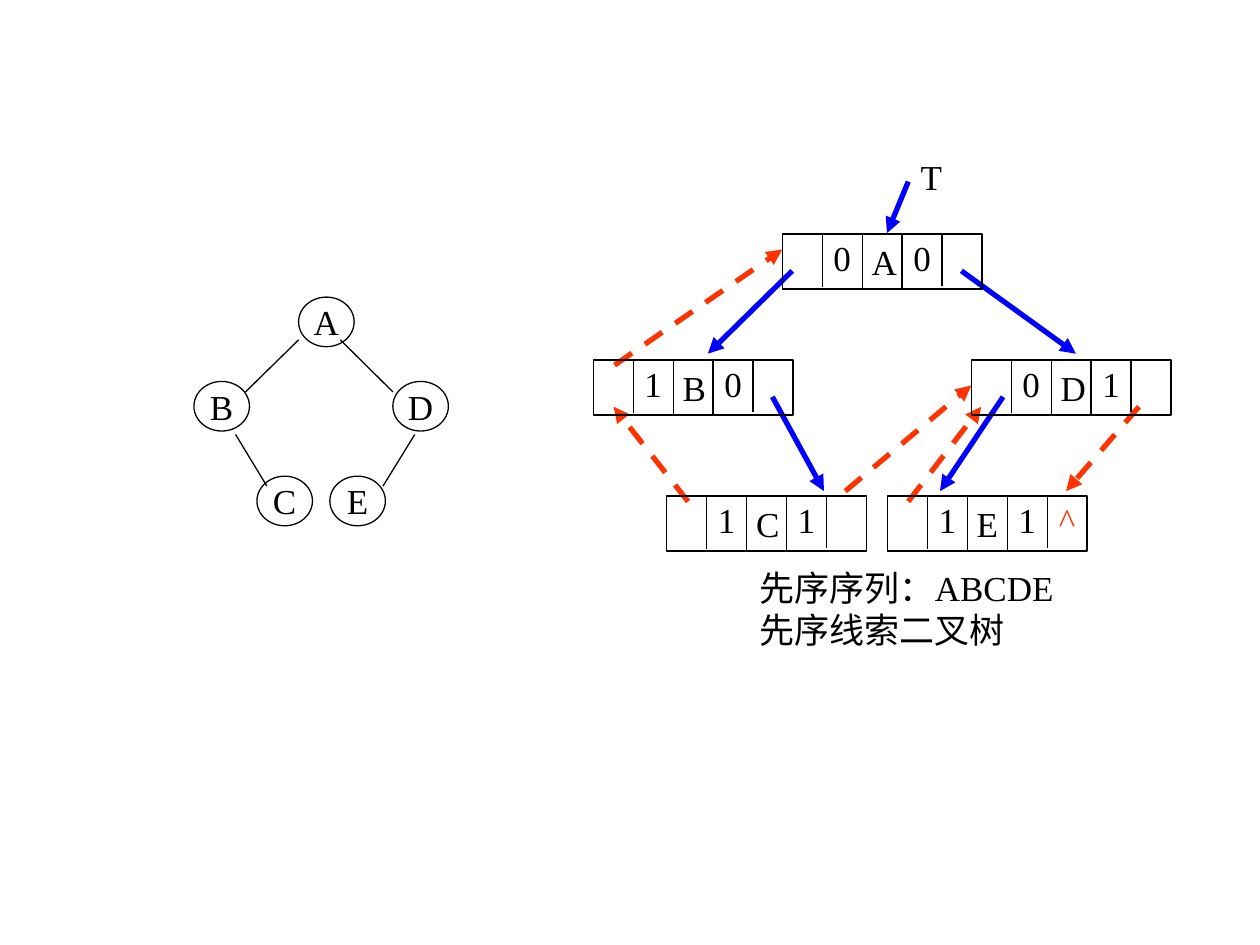
from dataclasses import dataclass

from pptx import Presentation
from pptx.dml.color import RGBColor
from pptx.enum import dml, shapes, text
from pptx.oxml.ns import qn
from pptx.util import Cm, Pt


@dataclass(frozen=True)
class Theme:
    font: str = "Times New Roman"
    size: int = 20
    ink: str = "000000"
    child: str = "0000FF"
    thread: str = "FF3300"
    thin: float = 0.75
    thick: float = 3


T = Theme()
LEFT, CENTER = text.PP_ALIGN.LEFT, text.PP_ALIGN.CENTER
TOP, MIDDLE = text.MSO_ANCHOR.TOP, text.MSO_ANCHOR.MIDDLE
CELL_W, RECORD_H = 0.805, 1.11
TAG_W, TAG_H, TAG_RISE = 0.86, 1.12, 0.09
LETTER_INSET = 1.8
DIVIDER_H = (1.07, 1.12, 1.12, 1.05)

NODES = {"A": (2.11, 0), "B": (0, 1.7), "C": (1.27, 3.61),
         "D": (4.01, 1.7), "E": (2.74, 3.61)}
EDGES = [(2.11, 0.86, 1.04, 1.91), (2.95, 0.86, 4.01, 1.91),
         (0.84, 2.77, 1.47, 3.81), (4.45, 2.77, 3.81, 3.81)]

# Letter, left, top, and the tags by cell number
RECORDS = [("A", 3.81, 1.7, {1: "0", 3: "0"}),
           ("B", 0, 4.24, {1: "1", 3: "0"}),
           ("D", 7.62, 4.24, {1: "0", 3: "1"}),
           ("C", 1.48, 6.98, {1: "1", 3: "1"}),
           ("E", 5.93, 6.98, {1: "1", 3: "1", 4: "^"})]
CHILD_LINKS = [(4.01, 2.44, 2.31, 4.11), (7.42, 2.44, 9.73, 4.11),
               (3.61, 4.98, 4.65, 6.88), (8.26, 4.98, 6.99, 6.88),
               (6.35, 0.64, 5.92, 1.68)]
THREADS = [(0.43, 4.34, 3.81, 2.01), (1.91, 7.09, 0.41, 5.18),
           (5.08, 6.88, 7.62, 4.75), (11, 5.18, 9.53, 6.88),
           (6.35, 7.09, 7.82, 5.18)]


def write(sp, lines, align=LEFT, color=T.ink, **frame):
    tf = sp.text_frame
    for name, value in {"word_wrap": False, "vertical_anchor": MIDDLE, **frame}.items():
        setattr(tf, name, value)
    for i, line in enumerate(lines):
        p = tf.paragraphs[0] if i == 0 else tf.add_paragraph()
        p.alignment = align
        r = p.add_run()
        r.text = line
        for name, value in {"name": T.font, "size": Pt(T.size)}.items():
            setattr(r.font, name, value)
        r.font.color.rgb = RGBColor.from_string(color)


def add_outline(s, kind, x, y, w, h):
    """Add an unfilled preset shape with a thin outline."""
    sp = s.shapes.add_shape(kind, Cm(x), Cm(y), Cm(w), Cm(h))
    sp.shadow.inherit = False
    sp.fill.background()
    sp.line.color.rgb = RGBColor.from_string(T.ink)
    sp.line.width = Pt(T.thin)
    return sp


def add_label(s, x, y, w, h, lines, **style):
    write(s.shapes.add_textbox(Cm(x), Cm(y), Cm(w), Cm(h)), lines, **style)


def add_line(s, x1, y1, x2, y2, color=T.ink, width=T.thin, dash=None, arrow=False):
    ln = s.shapes.add_connector(shapes.MSO_CONNECTOR.STRAIGHT,
                                Cm(x1), Cm(y1), Cm(x2), Cm(y2))
    ln.line.color.rgb = RGBColor.from_string(color)
    ln.line.width = Pt(width)
    if dash:
        ln.line.dash_style = dash
    sp_pr = ln._element.spPr
    if arrow:
        outline = sp_pr.find(qn("a:ln"))
        outline.append(outline.makeelement(qn("a:tailEnd"), {"type": "triangle"}))
    sp_pr.append(sp_pr.makeelement(qn("a:effectLst"), {}))


def add_lines(s, x, y, lines, **style):
    """Draw several lines given relative to the point x, y."""
    for x1, y1, x2, y2 in lines:
        add_line(s, x + x1, y + y1, x + x2, y + y2, **style)


def add_binary_tree(s, x, y):
    for letter, (dx, dy) in NODES.items():
        sp = add_outline(s, shapes.MSO_SHAPE.OVAL, x + dx, y + dy, 1.12, 1)
        write(sp, [letter], CENTER)
    add_lines(s, x, y, EDGES)


def add_record(s, x, y, letter, tags):
    """Draw a five-cell record: link, tag, letter, tag, link."""
    sp = add_outline(s, shapes.MSO_SHAPE.RECTANGLE, x, y, 5 * CELL_W, RECORD_H)
    write(sp, [letter], word_wrap=True, margin_left=Cm(LETTER_INSET))
    add_lines(s, x, y, [(i * CELL_W, 0, i * CELL_W, h)
                        for i, h in enumerate(DIVIDER_H, 1)])
    for cell, tag in tags.items():
        add_label(s, x + (cell + 0.5) * CELL_W - TAG_W / 2, y - TAG_RISE, TAG_W, TAG_H,
                  [tag], align=CENTER, color=T.thread if tag == "^" else T.ink)


def add_threaded_tree(s, x, y):
    add_lines(s, x, y, CHILD_LINKS, color=T.child, width=T.thick, arrow=True)
    add_lines(s, x, y, THREADS, color=T.thread, width=T.thick,
              dash=dml.MSO_LINE.DASH, arrow=True)
    for letter, dx, dy, tags in RECORDS:
        add_record(s, x + dx, y + dy, letter, tags)
    add_label(s, x + 6.35, y, 0.94, 1.12, ["T"], vertical_anchor=TOP)
    add_label(s, x + 3.1, y + 8.28, 6.6, 1.96,
              ["先序序列：ABCDE", "先序线索二叉树"], vertical_anchor=TOP)


def main():
    prs = Presentation()
    prs.slide_width, prs.slide_height = Cm(25.4), Cm(19.05)
    s = prs.slides.add_slide(prs.slide_layouts[6])
    add_binary_tree(s, 3.91, 5.99)
    add_threaded_tree(s, 11.96, 3.02)
    prs.save("out.pptx")


if __name__ == "__main__":
    main()
